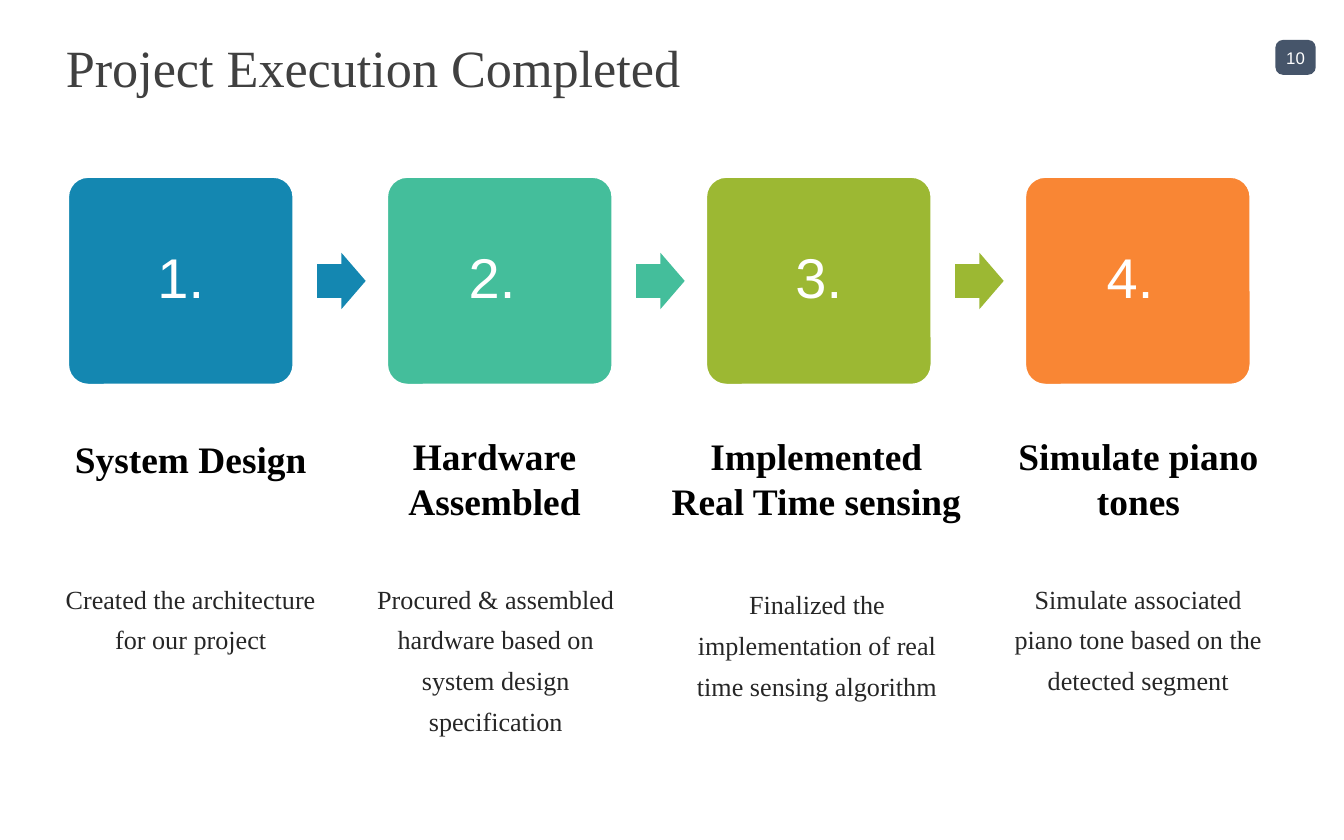
from dataclasses import dataclass

from pptx import Presentation
from pptx.dml.color import RGBColor
from pptx.enum.shapes import MSO_SHAPE
from pptx.enum.text import MSO_ANCHOR, PP_ALIGN
from pptx.shapes.autoshape import Shape
from pptx.slide import Slide
from pptx.util import Pt

SERIF = "Times New Roman"
SANS = "Arial"
WHITE = "FFFFFF"
FIRST_LEFT = 36
STEP_PITCH = 170.9
BOX_TOP, BOX_WIDTH, BOX_HEIGHT = 94.3, 121.7, 112.3
ARROW_OFFSET, ARROW_TOP, ARROW_WIDTH, ARROW_HEIGHT = 133.9, 135.4, 26, 30.2
HEADING_HEIGHT = 22.3
DETAIL_WIDTH = 139.7


@dataclass(frozen=True)
class Area:
    left: float
    top: float
    width: float
    height: float


@dataclass(frozen=True)
class TextStyle:
    size: float
    font: str
    colour: str
    bold: bool = False
    align: PP_ALIGN = PP_ALIGN.CENTER
    anchor: MSO_ANCHOR = MSO_ANCHOR.MIDDLE
    side_inset: float = 0
    end_inset: float = 3
    wrap: bool = True
    line_spacing: float = 1.0
    space_before: float = 0


@dataclass(frozen=True)
class Step:
    number: str
    colour: str
    heading: str
    heading_area: Area
    detail: str
    detail_left: float
    detail_top: float = 307.4


TITLE = TextStyle(28, SERIF, "404040", align=PP_ALIGN.LEFT)
HEADING = TextStyle(20, SERIF, "000000", bold=True)
DETAIL = TextStyle(14, SERIF, "262626", anchor=MSO_ANCHOR.TOP, end_inset=0,
                   line_spacing=1.3, space_before=2.8)
NUMBER = TextStyle(30, SANS, WHITE, side_inset=9, end_inset=9, line_spacing=0.9)
PAGE_NUMBER = TextStyle(9, SANS, WHITE, end_inset=0, wrap=False)

STEPS = [
    Step("1.", "1487B1", "System Design", Area(32.4, 234.7, 139.7, HEADING_HEIGHT),
         "Created the architecture for our project", 32.4),
    Step("2. ", "44BE9B", "Hardware\nAssembled", Area(195.1, 244.8, 139.7, HEADING_HEIGHT),
         "Procured & assembled hardware based on system design specification", 195.8),
    Step("3.", "9CB833", "Implemented\nReal Time sensing",
         Area(359.3, 244.8, 156.2, HEADING_HEIGHT),
         "Finalized the implementation of real time sensing algorithm", 367.9, 310.3),
    Step("4. ", "F98634", "Simulate piano tones", Area(524.2, 244.8, 171.4, HEADING_HEIGHT),
         "Simulate associated piano tone based on the detected segment", 540),
]


def colour(value: str) -> RGBColor:
    return RGBColor.from_string(value)


def write(shape: Shape, text: str, style: TextStyle) -> None:
    frame = shape.text_frame
    frame.word_wrap = style.wrap
    frame.vertical_anchor = style.anchor
    frame.margin_left = frame.margin_right = Pt(style.side_inset)
    frame.margin_top = frame.margin_bottom = Pt(style.end_inset)
    frame.text = text
    for para in frame.paragraphs:
        para.alignment = style.align
        para.line_spacing = style.line_spacing
        para.space_before = Pt(style.space_before)
        for span in para.runs:
            span.font.size = Pt(style.size)
            span.font.name = style.font
            span.font.bold = style.bold
            span.font.color.rgb = colour(style.colour)


def add_text(page: Slide, area: Area, text: str, style: TextStyle) -> None:
    box = page.shapes.add_textbox(
        Pt(area.left), Pt(area.top), Pt(area.width), Pt(area.height))
    write(box, text, style)


def add_block(page: Slide, kind: MSO_SHAPE, area: Area, fill: str,
              adjustments: tuple[float, ...]) -> Shape:
    block = page.shapes.add_shape(
        kind, Pt(area.left), Pt(area.top), Pt(area.width), Pt(area.height))
    block.shadow.inherit = False
    block.fill.solid()
    block.fill.fore_color.rgb = colour(fill)
    block.line.fill.background()
    for index, value in enumerate(adjustments):
        block.adjustments[index] = value
    return block


def add_step(page: Slide, index: int, step: Step) -> None:
    left = FIRST_LEFT + index * STEP_PITCH
    box = add_block(page, MSO_SHAPE.ROUNDED_RECTANGLE,
                    Area(left, BOX_TOP, BOX_WIDTH, BOX_HEIGHT), step.colour, (0.1,))
    box.line.color.rgb = colour(WHITE)
    box.line.width = Pt(2)
    write(box, step.number, NUMBER)
    if index < len(STEPS) - 1:
        add_block(page, MSO_SHAPE.RIGHT_ARROW,
                  Area(left + ARROW_OFFSET, ARROW_TOP, ARROW_WIDTH, ARROW_HEIGHT),
                  step.colour, (0.6, 0.5))
    add_text(page, step.heading_area, step.heading, HEADING)
    add_text(page, Area(step.detail_left, step.detail_top, DETAIL_WIDTH, 55.4),
             step.detail, DETAIL)


def main() -> None:
    deck = Presentation()
    deck.slide_width, deck.slide_height = Pt(720), Pt(450)
    page = deck.slides.add_slide(deck.slide_layouts[6])
    badge = add_block(page, MSO_SHAPE.ROUNDED_RECTANGLE,
                      Area(683.3, 21.4, 21.6, 18.7), "46556A", (0.217,))
    write(badge, "10", PAGE_NUMBER)
    add_text(page, Area(35.3, 21.6, 648, 28.1), "Project Execution Completed", TITLE)
    for index, step in enumerate(STEPS):
        add_step(page, index, step)
    deck.save("out.pptx")


if __name__ == "__main__":
    main()
